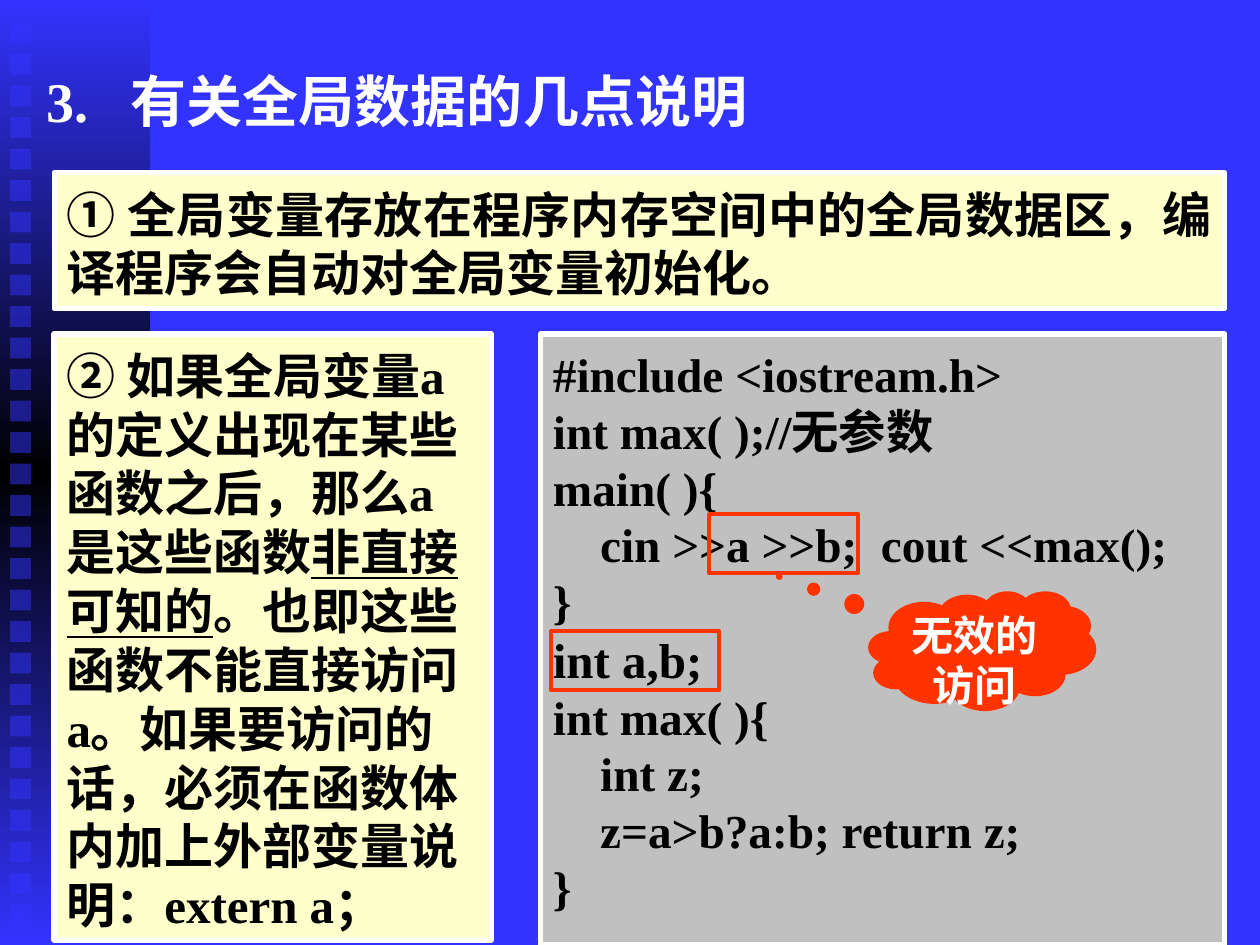
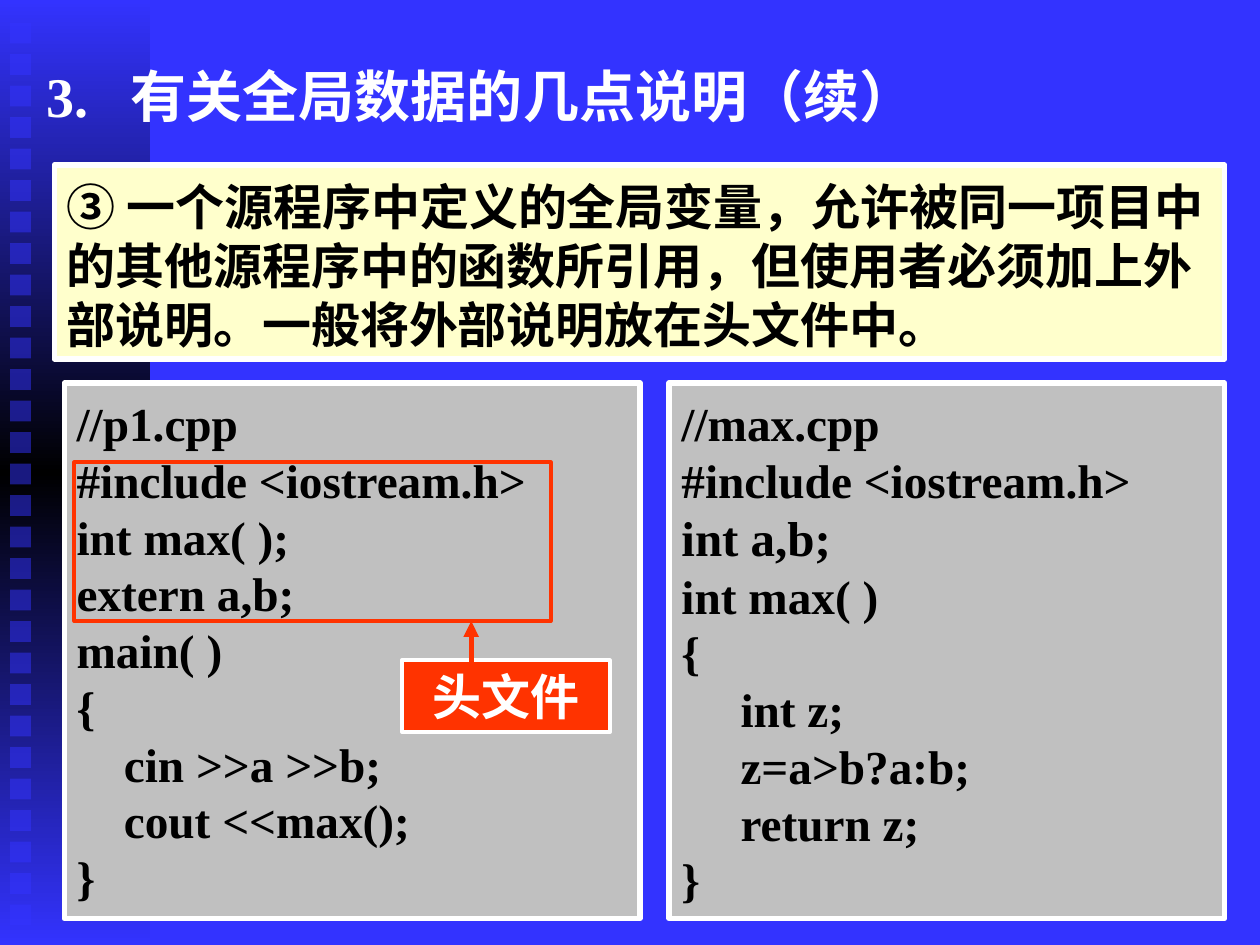
from copy import deepcopy
from typing import NamedTuple

from pptx import Presentation
from pptx.dml.color import RGBColor
from pptx.enum.shapes import MSO_CONNECTOR, MSO_SHAPE
from pptx.enum.text import MSO_ANCHOR, MSO_AUTO_SIZE, PP_ALIGN
from pptx.oxml.ns import qn
from pptx.oxml.xmlchemy import OxmlElement
from pptx.util import Inches, Pt

WIDE, HIGH = Inches(10), Inches(7.5)
COLS, ROWS = 100, 75
FONT = "Times New Roman"
BLUE, BLACK, WHITE = "3333FF", "000000", "FFFFFF"
CREAM, GREY, RED = "FFFFCC", "C0C0C0", "FF3300"
INSET = (0.1, 0.05, 0.1, 0.05)
DEEP = (0.1, 0.09, 0.1, 0.05)

FAULTY = """#include <iostream.h>
int max( );//无参数
main( ){
    cin >>a >>b;  cout <<max();
}
int a,b;
int max( ){
    int z;
    z=a>b?a:b; return z;
}"""

CALLER = """//p1.cpp
#include <iostream.h>
int max( );
extern a,b;
main( )
{
    cin >>a >>b;
    cout <<max();
}"""

CALLEE = """//max.cpp
#include <iostream.h>
int a,b;
int max( )
{
     int z;
     z=a>b?a:b;
     return z;
}"""


class Box(NamedTuple):
    """A region in grid columns and rows."""
    x: float
    y: float
    w: float
    h: float

    def inner(self, x, y, w, h):
        """Return a region offset from this one's corner."""
        return Box(self.x + x, self.y + y, w, h)

    def place(self):
        """Return left, top, width and height as lengths."""
        return (across(self.x), down(self.y), across(self.w), down(self.h))


def across(cols):
    """Turn columns into a length."""
    return round(WIDE * cols / COLS)


def down(rows):
    """Turn rows into a length."""
    return round(HIGH * rows / ROWS)


def paint(target, tone):
    """Give a fill or line format one solid colour."""
    target.solid()
    target.fore_color.rgb = RGBColor.from_string(tone)


def draw(slide, box, fill=None, line=None, width=3, kind=MSO_SHAPE.RECTANGLE):
    """Add a flat preset shape."""
    shape = slide.shapes.add_shape(kind, *box.place())
    shape.shadow.inherit = False
    if fill:
        paint(shape.fill, fill)
    else:
        shape.fill.background()
    if line:
        paint(shape.line.fill, line)
        shape.line.width = Pt(width)
    else:
        shape.line.fill.background()
    return shape


def frame_text(shape, inset, anchor=MSO_ANCHOR.TOP, grow=False):
    """Set up wrapping, margins and anchor, and return the text frame."""
    frame = shape.text_frame
    frame.word_wrap = True
    frame.vertical_anchor = anchor
    sides = [Inches(side) for side in inset]
    frame.margin_left, frame.margin_top, frame.margin_right, frame.margin_bottom = sides
    frame.auto_size = MSO_AUTO_SIZE.SHAPE_TO_FIT_TEXT if grow else MSO_AUTO_SIZE.NONE
    return frame


def add_run(para, text, size, tone, under=False):
    """Add one bold run."""
    run = para.add_run()
    run.text = text
    font = run.font
    font.name, font.size, font.bold = FONT, Pt(size), True
    font.underline = under
    font.color.rgb = RGBColor.from_string(tone)


def add_band(slide, box):
    """Draw the shaded left band with its column of squares."""
    band = draw(slide, box, BLUE)
    band.fill.gradient()
    band.fill.gradient_angle = 270
    first = next(band._element.spPr.iter(qn("a:gs")))
    first.addnext(deepcopy(first))
    shades = ((0, BLUE), (0.5, BLACK), (1, BLUE))
    for stop, (spot, tone) in zip(band.fill.gradient_stops, shades):
        stop.position = spot
        stop.color.rgb = RGBColor.from_string(tone)
    for step in range(29):
        square = draw(slide, box.inner(0.8, 1.8 + 2.5 * step, 1.65, 1.65), BLUE)
        alpha = OxmlElement("a:alpha")
        alpha.set("val", "50000")
        next(square._element.spPr.iter(qn("a:srgbClr"))).append(alpha)


def add_title(slide, box, number, text):
    """Write the numbered slide title."""
    frame = frame_text(slide.shapes.add_textbox(*box.place()), INSET)
    para = frame.paragraphs[0]
    stops, tab = OxmlElement("a:tabLst"), OxmlElement("a:tab")
    tab.set("pos", str(across(6.7)))
    tab.set("algn", "l")
    stops.append(tab)
    para._p.get_or_add_pPr().append(stops)
    add_run(para, f"{number}\t{text}", 32, WHITE)


def add_note(slide, box, texts, align=PP_ALIGN.LEFT):
    """Draw a cream note; every second text is underlined."""
    frame = frame_text(draw(slide, box, CREAM, WHITE), DEEP, grow=True)
    para = frame.paragraphs[0]
    para.alignment = align
    for index, text in enumerate(texts):
        add_run(para, text, 28, BLACK, index % 2 == 1)


def add_code(slide, box, code):
    """Draw a grey panel of code, the global definition a little larger."""
    frame = frame_text(draw(slide, box, GREY, WHITE), DEEP)
    for index, text in enumerate(code.split("\n")):
        para = frame.add_paragraph() if index else frame.paragraphs[0]
        para.alignment = PP_ALIGN.LEFT
        add_run(para, text, 28 if text == "int a,b;" else 27, BLACK)


def add_label(shape, text, size, inset, anchor, grow=False):
    """Write centred white text in a shape."""
    para = frame_text(shape, inset, anchor, grow).paragraphs[0]
    para.alignment = PP_ALIGN.CENTER
    add_run(para, text, size, WHITE)


def mark_fault(slide, box):
    """Frame the late definition and the invalid use, with a cloud."""
    for spot in ((0.8, 23.6, 13.4, 4.7), (13.4, 14.3, 11.8, 4.7)):
        draw(slide, box.inner(*spot), line=RED, width=2.25)
    cloud = draw(slide, box.inner(26, 20.4, 18.1, 9.5), RED, kind=MSO_SHAPE.CLOUD_CALLOUT)
    cloud.adjustments[0], cloud.adjustments[1] = -0.89, -0.62
    add_label(cloud, "无效的访问", 24, (0, 0, 0, 0), MSO_ANCHOR.TOP)


def mark_header(slide, box):
    """Frame the header lines and point a label at them."""
    draw(slide, box.inner(0.8, 6.3, 37.8, 12.6), line=RED, width=2.25)
    label = draw(slide, box.inner(26.8, 22, 16.5, 5.7), RED, WHITE, 2.25)
    add_label(label, "头文件", 28, INSET, MSO_ANCHOR.MIDDLE, True)
    x, y = across(box.x + 32.3), box.y
    arrow = slide.shapes.add_connector(
        MSO_CONNECTOR.STRAIGHT, x, down(y + 22.1), x, down(y + 18.9))
    paint(arrow.line.fill, RED)
    arrow.line.width = Pt(3)
    tip = OxmlElement("a:tailEnd")
    tip.set("type", "triangle")
    arrow.line._get_or_add_ln().append(tip)
    arrow._element.spPr.append(OxmlElement("a:effectLst"))


def new_slide(deck, box, title):
    """Start a slide with its band and title."""
    slide = deck.slides.add_slide(deck.slide_layouts[6])
    paint(slide.background.fill, BLUE)
    add_band(slide, Box(0, 0, 11.9, ROWS))
    add_title(slide, box, "3.", title)
    return slide


def build_scope(deck):
    """Build the slide on storage and visibility."""
    slide = new_slide(deck, Box(2.7, 4.8, 85.8, 7.5), "有关全局数据的几点说明")
    add_note(slide, Box(4.3, 13.7, 92.9, 10.8),
             ["① 全局变量存放在程序内存空间中的全局数据区，编译程序会自动对全局变量初始化。"],
             PP_ALIGN.JUSTIFY)
    add_note(slide, Box(4.3, 26.5, 34.7, 48.1),
             ["② 如果全局变量a的定义出现在某些函数之后，那么a是这些函数",
              "非直接可知的",
              "。也即这些函数不能直接访问a。如果要访问的话，必须在函数体内加上外部变量说明：extern a；"])
    panel = Box(42.9, 26.5, 54.3, 48.5)
    add_code(slide, panel, FAULTY)
    mark_fault(slide, panel)


def build_files(deck):
    """Build the slide on sharing between source files."""
    slide = new_slide(deck, Box(2.7, 4.4, 85.8, 7.5), "有关全局数据的几点说明（续）")
    add_note(slide, Box(4.3, 13.1, 92.9, 15.4),
             ["③ 一个源程序中定义的全局变量，允许被同一项目中的其他源程序中的函数所引用，"
              "但使用者必须加上外部说明。一般将外部说明放在头文件中。"])
    panel = Box(5.1, 30.4, 45.7, 42.5)
    add_code(slide, panel, CALLER)
    add_code(slide, panel.inner(48, 0, 44.1, 42.5), CALLEE)
    mark_header(slide, panel)


def main():
    """Build and save the deck."""
    deck = Presentation()
    deck.slide_width, deck.slide_height = WIDE, HIGH
    build_scope(deck)
    build_files(deck)
    deck.save("out.pptx")


if __name__ == "__main__":
    main()
